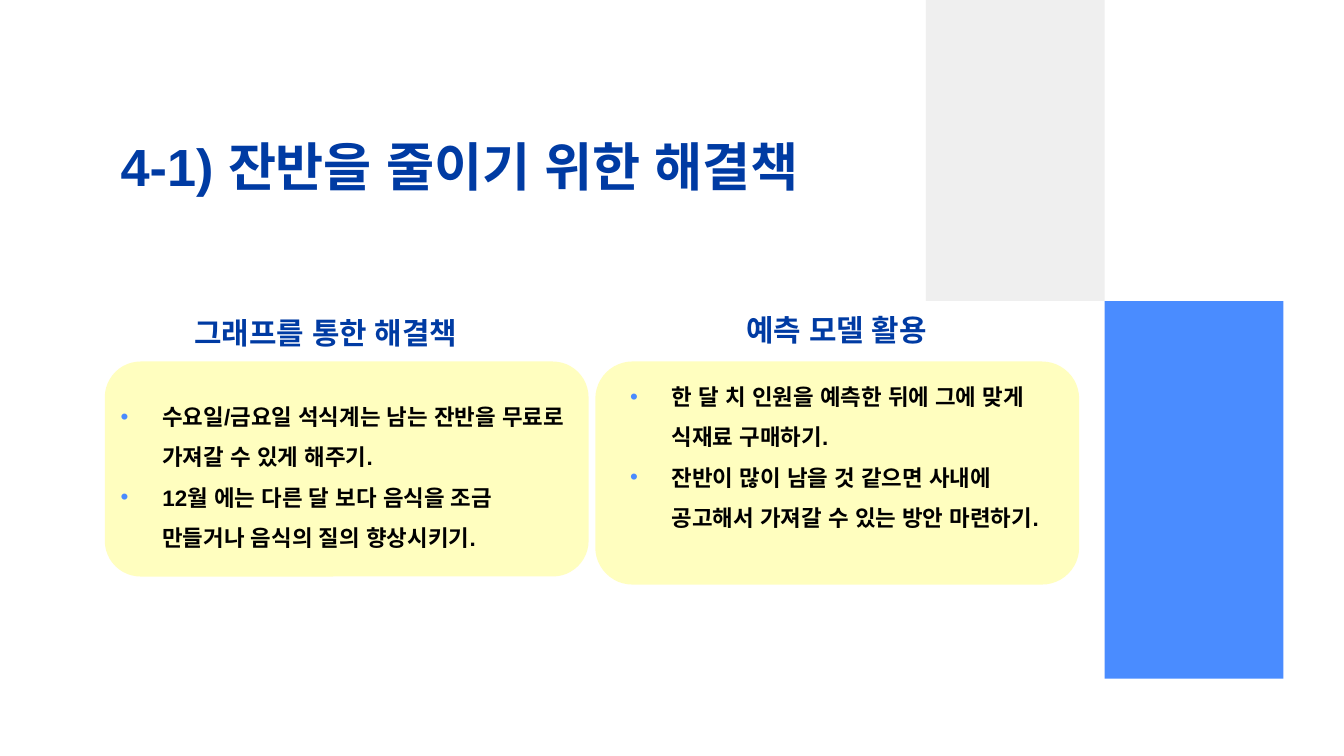
from lxml.etree import SubElement
from pptx import Presentation
from pptx.dml.color import RGBColor
from pptx.enum.shapes import MSO_SHAPE
from pptx.enum.text import PP_ALIGN
from pptx.oxml.ns import qn
from pptx.util import Inches, Pt

COLORS = {
    "navy": "003BA3",
    "blue": "4A8CFF",
    "gray": "EFEFEF",
    "yellow": "FFFC00",
    "black": "000000",
}
FONT = "Arial"
CARD_WIDTH = 3.6
CARD_TOP = 2.69


def add_block(slide, shape_type, box, color, opacity=None):
    """Add a borderless filled shape, optionally translucent (percent)."""
    shape = slide.shapes.add_shape(shape_type, *map(Inches, box))
    shape.shadow.inherit = False
    shape.line.fill.background()
    shape.fill.solid()
    shape.fill.fore_color.rgb = RGBColor.from_string(COLORS[color])
    if opacity is not None:
        color_element = shape._element.spPr.find(".//" + qn("a:srgbClr"))
        SubElement(color_element, qn("a:alpha"), val=str(opacity * 1000))


def add_bullet(paragraph, color, indent):
    """Give a paragraph a coloured bullet with a hanging indent."""
    properties = paragraph._p.get_or_add_pPr()
    properties.set("marL", str(Inches(indent)))
    properties.set("indent", str(-Inches(indent)))
    bullet_color = SubElement(properties, qn("a:buClr"))
    SubElement(bullet_color, qn("a:srgbClr"), val=COLORS[color])
    SubElement(properties, qn("a:buFont"), typeface=FONT)
    SubElement(properties, qn("a:buChar"), char="•")


def add_text(slide, box, lines, *, size, color, align=PP_ALIGN.LEFT,
             line_spacing=1.0, bulleted=False):
    """Add a bold text box with one paragraph for each line."""
    frame = slide.shapes.add_textbox(*map(Inches, box)).text_frame
    frame.word_wrap = True
    frame.margin_left = frame.margin_right = Inches(0.1)
    frame.margin_top = frame.margin_bottom = Inches(0.1)
    for index, line in enumerate(lines):
        paragraph = frame.add_paragraph() if index else frame.paragraphs[0]
        paragraph.alignment = align
        paragraph.line_spacing = line_spacing
        if bulleted:
            add_bullet(paragraph, "blue", 0.31)
        run = paragraph.add_run()
        run.text = line
        run.font.size = Pt(size)
        run.font.bold = True
        run.font.color.rgb = RGBColor.from_string(COLORS[color])
        run.font.name = FONT
        for script in ("a:ea", "a:cs"):
            SubElement(run._r.get_or_add_rPr(), qn(script), typeface=FONT)


def add_decoration(slide, left, top, width):
    """Add the gray and blue bars that meet at one corner."""
    seam = top + 2.24
    add_block(slide, MSO_SHAPE.RECTANGLE, (left + width, seam, width, 2.81), "blue")
    add_block(slide, MSO_SHAPE.RECTANGLE, (left, top, width, seam - top), "gray")


def add_solution(slide, left, top, height, heading, heading_box, points,
                 points_box, align=PP_ALIGN.LEFT):
    """Add a heading and a card of bullets, offset from the card corner."""
    def place(box):
        """Shift a box from card to slide coordinates."""
        return left + box[0], top + box[1], box[2], box[3]

    add_block(slide, MSO_SHAPE.ROUNDED_RECTANGLE,
              (left, top, CARD_WIDTH, height), "yellow", opacity=25)
    add_text(slide, place(heading_box), [heading], size=16, color="navy", align=align)
    add_text(slide, place(points_box), points, size=12, color="black",
             line_spacing=1.5, bulleted=True)


def build_slide(presentation):
    """Build the slide of solutions for reducing leftovers."""
    slide = presentation.slides.add_slide(presentation.slide_layouts[6])
    add_decoration(slide, 6.89, 0, 1.33)
    add_text(slide, (0.8, 0.9, 8.44, 0.63), ["4-1) 잔반을 줄이기 위한 해결책"],
             size=28, color="navy")
    add_solution(
        slide, 0.78, CARD_TOP, 1.6,
        "그래프를 통한 해결책", (0.57, -0.45, 2.66, 0.63),
        ["수요일/금요일 석식계는 남는 잔반을 무료로 가져갈 수 있게 해주기.",
         "12월 에는 다른 달 보다 음식을 조금 만들거나 음식의 질의 향상시키기."],
        (0.02, 0.11, 3.55, 1.39))
    add_solution(
        slide, 4.43, CARD_TOP, 1.66,
        "예측 모델 활용", (0.16, -0.47, 3.27, 0.51),
        ["한 달 치 인원을 예측한 뒤에 그에 맞게 식재료 구매하기.",
         "잔반이 많이 남을 것 같으면 사내에 공고해서 가져갈 수 있는 방안 마련하기."],
        (0.16, -0.04, 3.27, 1.69), align=PP_ALIGN.CENTER)


def main():
    """Create and save the presentation."""
    presentation = Presentation()
    presentation.slide_width = Inches(10)
    presentation.slide_height = presentation.slide_width * 9 // 16
    build_slide(presentation)
    presentation.save("out.pptx")


if __name__ == "__main__":
    main()
